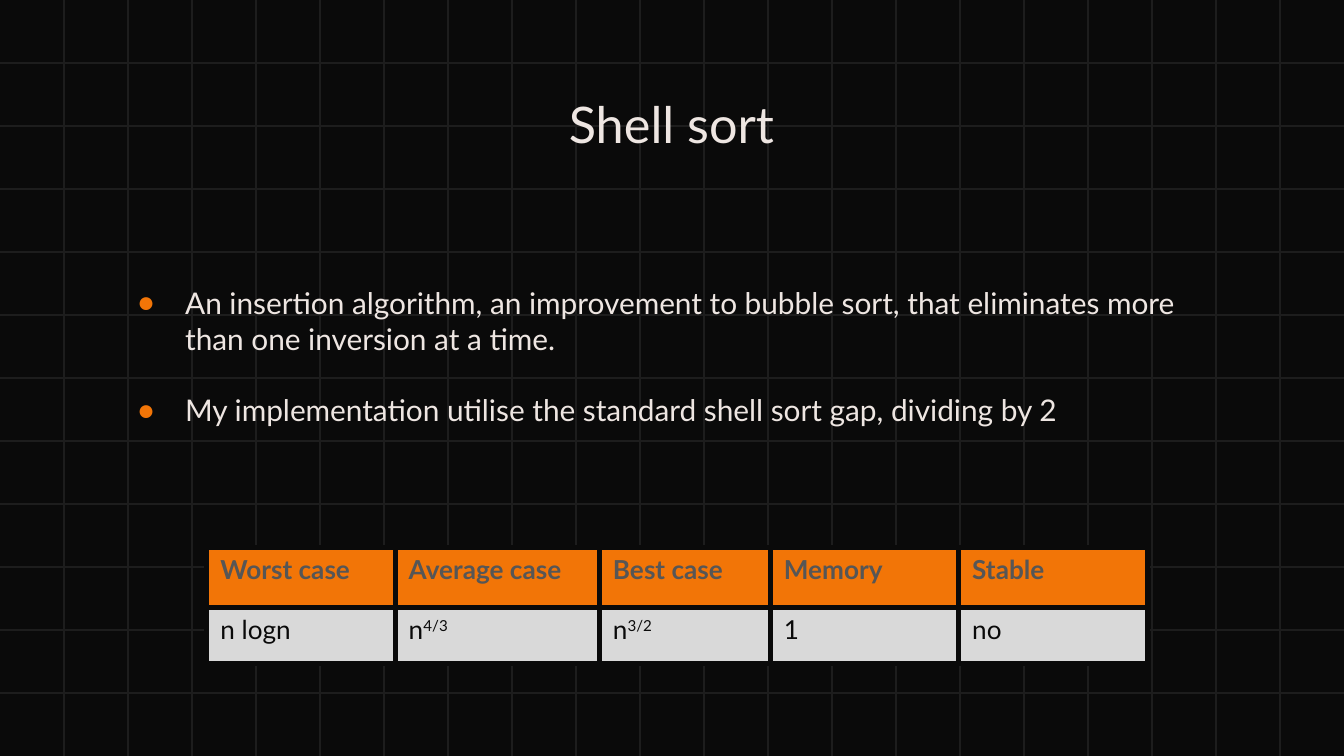
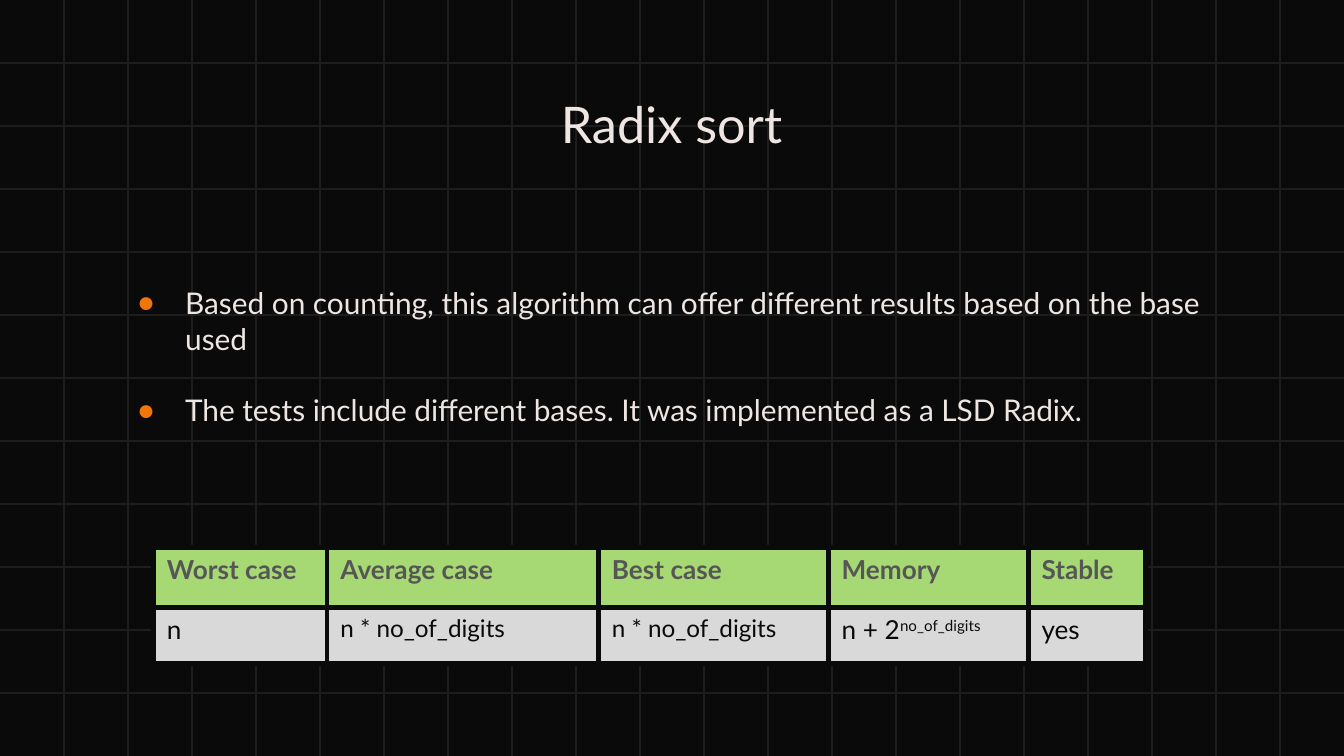
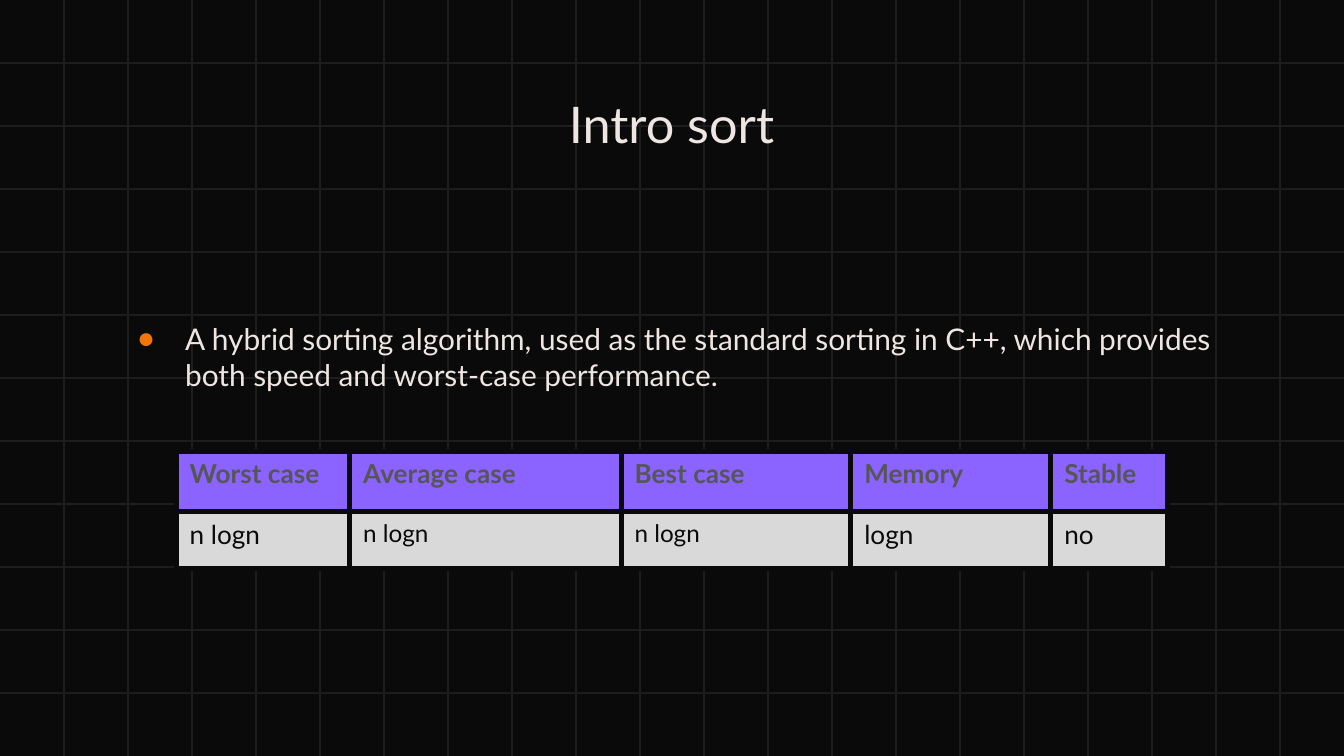
from lxml import etree
from pptx import Presentation
from pptx.dml.color import RGBColor
from pptx.enum.shapes import MSO_CONNECTOR
from pptx.enum.text import MSO_ANCHOR, MSO_AUTO_SIZE, PP_ALIGN
from pptx.oxml.ns import qn
from pptx.util import Cm, Pt

STRAIGHT = MSO_CONNECTOR.STRAIGHT
TOP = MSO_ANCHOR.TOP
NO_FIT = MSO_AUTO_SIZE.NONE
LEFT, CENTER = PP_ALIGN.LEFT, PP_ALIGN.CENTER

WIDTH, HEIGHT = 25.4, 14.29
GRID_COLS, GRID_ROWS = 21, 12
INSET = 0.25
LINE = 19.2
HEADERS = ["Worst case", "Average case", "Best case", "Memory", "Stable"]
EVEN_COLS = [3.56, 3.86, 3.23, 3.56, 3.56]
WIDE_COLS = [3.28, 5.13, 4.34, 3.78, 2.21]


def rgb(color):
    """Turn a hex string into a colour."""
    return RGBColor.from_string(color)


def add_text(p, text, size=16, color="EEE6E2", font="Lato", bold=False, raised=False):
    """Add a formatted run to a paragraph."""
    r = p.add_run()
    r.text = text
    r.font.name, r.font.size, r.font.bold = font, Pt(size), bold
    r.font.color.rgb = rgb(color)
    if raised:
        r._r.get_or_add_rPr().set("baseline", "30000")


def add_solid(parent, color):
    """Append a solid fill to an XML element."""
    fill = etree.SubElement(parent, qn("a:solidFill"))
    etree.SubElement(fill, qn("a:srgbClr"), val=color)


class Deck:
    """Hold the shared style and the current slide."""

    BACK, GRID, ORANGE = "0A0A0A", "1D1D1D", "F27507"
    GREEN, PURPLE = "A6D973", "8B63FF"
    HEAD_TEXT, CELL = "565656", "D9D9D9"

    def __init__(self):
        """Set up the presentation and its layout."""
        self.prs = Presentation()
        self.prs.slide_width, self.prs.slide_height = Cm(WIDTH), Cm(HEIGHT)
        self.layout = self.prs.slide_layouts[1]
        self.slide = None
        fill = self.layout.background.fill
        fill.solid()
        fill.fore_color.rgb = rgb(self.BACK)
        for ph in list(self.layout.placeholders):
            if ph.placeholder_format.idx > 1:
                ph.element.getparent().remove(ph.element)

    def add_slide(self, title):
        """Start a slide with its title."""
        first = self.slide is None
        self.slide = self.prs.slides.add_slide(self.layout)
        if first:
            self.grid()
        tf = self.place(self.slide.shapes.title, 4.88, 1.5, 15.62, 2.77)
        p = tf.paragraphs[0]
        p.alignment = CENTER
        add_text(p, title, size=27)

    def grid(self):
        """Draw the background grid and move it to the layout."""
        xs = [WIDTH * i / GRID_COLS for i in range(1, GRID_COLS)]
        ys = [HEIGHT * i / GRID_ROWS for i in range(1, GRID_ROWS)]
        lines = [self.line(0, y, WIDTH, y) for y in ys]
        lines += [self.line(x, 0, x, HEIGHT) for x in xs]
        for line in lines:
            self.layout.shapes.element.append(line.element)

    def line(self, x1, y1, x2, y2):
        """Draw one thin grid line."""
        sp = self.slide.shapes.add_connector(STRAIGHT, Cm(x1), Cm(y1), Cm(x2), Cm(y2))
        sp.line.color.rgb = rgb(self.GRID)
        sp.line.width = Pt(0.75)
        etree.SubElement(sp.element.spPr, qn("a:effectLst"))
        return sp

    def place(self, sp, x, y, w, h):
        """Move a placeholder and return its prepared text frame."""
        sp.left, sp.top, sp.width, sp.height = Cm(x), Cm(y), Cm(w), Cm(h)
        tf = sp.text_frame
        tf.word_wrap, tf.auto_size, tf.vertical_anchor = True, NO_FIT, TOP
        tf.margin_left = tf.margin_right = tf.margin_top = tf.margin_bottom = Cm(INSET)
        return tf

    def bullets(self, items, lines_down=0):
        """Fill the body with bullets one line apart."""
        tf = self.place(self.slide.placeholders[1], 1.98, 5.13, 21.41, 7.67)
        tf.margin_top = Cm(INSET) + Pt(LINE * lines_down)
        for i, item in enumerate(items):
            p = tf.add_paragraph() if i else tf.paragraphs[0]
            p.alignment = LEFT
            p.space_before = Pt(LINE if i else 0)
            pPr = p._p.get_or_add_pPr()
            pPr.set("marL", str(Cm(1.27)))
            pPr.set("indent", str(Cm(-0.91)))
            color = etree.SubElement(pPr, qn("a:buClr"))
            etree.SubElement(color, qn("a:srgbClr"), val=self.ORANGE)
            etree.SubElement(pPr, qn("a:buChar"), char="●")
            add_text(p, item)

    def table(self, x, y, cols, values, accent, sizes=(14,) * 5):
        """Add the complexity table; a caret starts a superscript."""
        rows = [1.14, 1.07]
        frame = self.slide.shapes.add_table(
            len(rows), len(cols), Cm(x), Cm(y), Cm(sum(cols)), Cm(sum(rows)))
        table = frame.table
        for row, height in zip(table.rows, rows):
            row.height = Cm(height)
        for i, width in enumerate(cols):
            table.columns[i].width = Cm(width)
            self.cell(table.cell(0, i), HEADERS[i], accent,
                      size=14, color=self.HEAD_TEXT, bold=True)
            self.cell(table.cell(1, i), values[i], self.CELL,
                      size=sizes[i], color=self.BACK)

    def cell(self, cell, text, fill, **fmt):
        """Fill, border and write one table cell."""
        tcPr = cell._tc.get_or_add_tcPr()
        for side in ("lnL", "lnR", "lnT", "lnB"):
            add_solid(etree.SubElement(tcPr, qn("a:" + side), w=str(Pt(3))), self.BACK)
        cell.fill.solid()
        cell.fill.fore_color.rgb = rgb(fill)
        base, _, power = text.partition("^")
        p = cell.text_frame.paragraphs[0]
        add_text(p, base, **fmt)
        if power:
            add_text(p, power, raised=True, **fmt)


def main():
    """Build the three sorting slides."""
    deck = Deck()
    wide_sizes = (14, 13, 13, 14, 14)

    deck.add_slide("Shell sort")
    deck.bullets([
        "An insertion algorithm, an improvement to bubble sort, "
        "that eliminates more than one inversion at a time.",
        "My implementation utilise the standard shell sort gap, dividing by 2",
    ])
    deck.table(3.91, 10.34, EVEN_COLS,
               ["n logn", "n^4/3", "n^3/2", "1", "no"], deck.ORANGE)

    deck.add_slide("Radix sort")
    deck.bullets([
        "Based on counting, this algorithm can offer different results "
        "based on the base used",
        "The tests include different bases. It was implemented as a LSD Radix.",
    ])
    deck.table(2.9, 10.34, WIDE_COLS,
               ["n", "n * no_of_digits", "n * no_of_digits", "n + 2^no_of_digits", "yes"],
               deck.GREEN, wide_sizes)

    deck.add_slide("Intro sort")
    deck.bullets([
        "A hybrid sorting algorithm, used as the standard sorting in C++, "
        "which provides both speed and worst-case performance.",
    ], lines_down=1)
    deck.table(3.33, 8.53, WIDE_COLS,
               ["n logn", "n logn", "n logn", "logn", "no"], deck.PURPLE, wide_sizes)

    deck.prs.save("out.pptx")


main()
